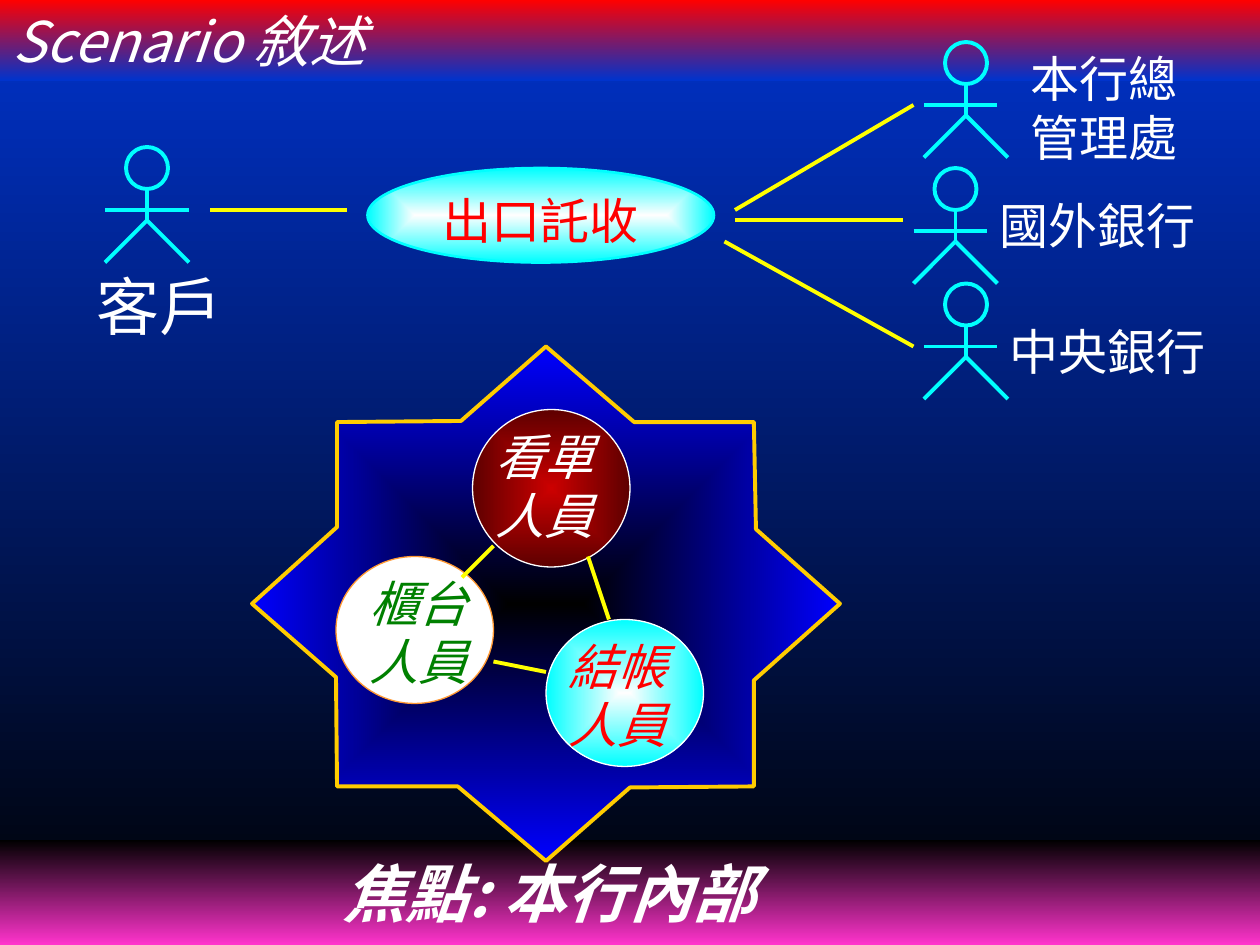
from dataclasses import dataclass

from lxml.etree import SubElement
from pptx import Presentation
from pptx.dml.color import RGBColor as RGB
from pptx.enum.shapes import MSO_CONNECTOR as CONNECTOR, MSO_SHAPE as SHAPE
from pptx.enum.text import MSO_ANCHOR as ANCHOR, PP_ALIGN as ALIGN
from pptx.oxml.ns import qn
from pptx.util import Cm, Pt


@dataclass(frozen=True)
class Theme:
    white: str = "FFFFFF"
    pale: str = "FEFEFE"
    black: str = "000000"
    red: str = "FF0000"
    cherry: str = "CC0000"
    maroon: str = "5E0000"
    green: str = "008000"
    cyan: str = "00FFFF"
    yellow: str = "FFFF00"
    gold: str = "FFCC00"
    orange: str = "FF9933"
    pink: str = "FF33CC"
    blue: str = "0000FF"
    royal: str = "0033CC"
    sans: str = "Noto Sans CJK SC"
    serif: str = "Times New Roman"
    title: int = 32
    large: int = 36
    label: int = 28
    stroke: float = 2.25
    thin: float = 0.75


THEME = Theme()

# Star outline, clockwise on screen from the upper left notch
STAR = [(32.1, 50.2), (32.1, 40.2), (43.9, 40.1), (52, 33),
        (60.4, 40.2), (71.8, 40.2), (72, 50.4), (80, 57.5),
        (71.8, 64.8), (71.8, 74.9), (60, 75), (52, 82),
        (43.6, 74.9), (32.1, 74.9), (32, 64.5), (24, 57.5)]


def grid(*units):
    """The slide is a grid of 120 columns by 90 rows."""
    return [Cm(unit * 25.4 / 120) for unit in units]


def shade(fill, first, last):
    """Top-to-bottom gradient."""
    fill.gradient()
    fill.gradient_angle = 270
    for stop, color in zip(fill.gradient_stops, (first, last)):
        stop.color.rgb = RGB.from_string(color)


def glow(shape, center, edge):
    """Gradient that spreads from the middle of the shape."""
    shade(shape.fill, center, edge)
    gradient = shape._element.spPr.find(qn("a:gradFill"))
    gradient.remove(gradient.find(qn("a:lin")))
    spread = SubElement(gradient, qn("a:path"))
    spread.set("path", "rect")
    middle = SubElement(spread, qn("a:fillToRect"))
    for side in "ltrb":
        middle.set(side, "50000")


def outline(shape, color, width):
    shape.line.color.rgb = RGB.from_string(color)
    shape.line.width = Pt(width)


def write(frame, text, size, color, font=THEME.serif, italic=False,
          bold=False, spacing=None):
    frame.word_wrap = True
    frame.text = text
    for paragraph in frame.paragraphs:
        paragraph.alignment = ALIGN.LEFT
        if spacing:
            paragraph.line_spacing = spacing
        for run in paragraph.runs:
            run.font.name = font
            run.font.size = Pt(size)
            run.font.italic, run.font.bold = italic, bold
            run.font.color.rgb = RGB.from_string(color)
            SubElement(run.font._element, qn("a:ea")).set("typeface", THEME.sans)


def add_label(slide, box, text, size=THEME.label, color=THEME.white, **style):
    label = slide.shapes.add_textbox(*grid(*box))
    write(label.text_frame, text, size, color, **style)


def add_line(slide, start, end, color=THEME.yellow):
    line = slide.shapes.add_connector(CONNECTOR.STRAIGHT, *grid(*start, *end))
    outline(line, color, THEME.stroke)
    SubElement(line._element.spPr, qn("a:effectLst"))


def add_oval(slide, box, line_color, line_width):
    oval = slide.shapes.add_shape(SHAPE.OVAL, *grid(*box))
    oval.shadow.inherit = False
    outline(oval, line_color, line_width)
    return oval


def add_actor(slide, x, y, arm_span=7):
    """Stick figure whose head has its top left corner at x, y."""
    add_oval(slide, (x, y, 4, 4), THEME.cyan, THEME.stroke).fill.background()
    neck, hip = (x + 2, y + 4), (x + 2, y + 7)
    limbs = [((x - 2, y + 6), (x - 2 + arm_span, y + 6)), (neck, hip),
             (hip, (x - 2, y + 11)), (hip, (x + 6, y + 11))]
    for start, end in limbs:
        add_line(slide, start, end, THEME.cyan)


def add_star(slide):
    points = [grid(*point) for point in STAR]
    builder = slide.shapes.build_freeform(*points[0])
    builder.add_line_segments(points[1:], close=True)
    star = builder.convert_to_shape()
    star.shadow.inherit = False
    glow(star, THEME.black, THEME.blue)
    outline(star, THEME.gold, THEME.stroke)


def add_title(slide):
    title = slide.shapes.title
    title.left, title.top, title.width, title.height = grid(0, 0, 120, 7.68)
    shade(title.fill, THEME.red, THEME.royal)
    write(title.text_frame, "Scenario 敘述", THEME.title, THEME.white,
          THEME.sans, italic=True)
    title.text_frame.vertical_anchor = ANCHOR.MIDDLE


def add_focus_band(slide):
    band = slide.shapes.add_shape(SHAPE.RECTANGLE, *grid(0, 80, 120, 10))
    band.shadow.inherit = False
    band.line.fill.background()
    shade(band.fill, THEME.black, THEME.pink)
    write(band.text_frame, "焦點: 本行內部", THEME.large, THEME.white,
          THEME.sans, italic=True, bold=True)
    band.text_frame.margin_left = Cm(6.9)
    band.text_frame.vertical_anchor = ANCHOR.MIDDLE


def main():
    deck = Presentation()
    deck.slide_width, deck.slide_height = Cm(25.4), Cm(19.05)
    slide = deck.slides.add_slide(deck.slide_layouts[5])
    shade(slide.background.fill, THEME.royal, THEME.black)
    add_title(slide)
    add_focus_band(slide)

    # Customer and outside parties
    add_actor(slide, 12, 14, arm_span=8)
    add_label(slide, (8, 26, 18, 7.3), "客戶", THEME.large, spacing=0.85)
    parties = [((90, 4), (97, 4, 19, 12.5), "本行總\n管理處"),
               ((89, 16), (94, 18, 25, 6.8), "國外銀行"),
               ((90, 27), (95, 30, 25, 6.8), "中央銀行")]
    for head, box, name in parties:
        add_actor(slide, *head)
        add_label(slide, box, name)

    # Use case and its links
    use_case = add_oval(slide, (35, 16, 33, 9), THEME.cyan, 1.5)
    glow(use_case, THEME.pale, THEME.cyan)
    add_label(slide, (41, 17, 26, 7.4), "出口託收", color=THEME.red, spacing=1.1)
    for start, end in [((20, 20), (33, 20)), ((70, 20), (87, 10)),
                       ((70, 21), (86, 21)), ((69, 23), (87, 33))]:
        add_line(slide, start, end)

    # Staff inside the bank
    add_star(slide)
    staff = [
        ((45, 39, 15, 15), (46, 40, 13, 12.5), "看單", THEME.white,
         (THEME.cherry, THEME.maroon), THEME.white),
        ((52, 59, 15, 14), (53, 60, 12, 12.5), "結帳", THEME.red,
         (THEME.pale, THEME.cyan), THEME.white),
        ((32, 53, 15, 14), (34, 54, 12, 12.5), "櫃台", THEME.green,
         (THEME.white, THEME.white), THEME.orange),
    ]
    for circle, box, duty, color, (center, edge), rim in staff:
        member = add_oval(slide, circle, rim, THEME.thin)
        if center == edge:
            member.fill.solid()
            member.fill.fore_color.rgb = RGB.from_string(center)
        else:
            glow(member, center, edge)
        add_label(slide, box, f"{duty}\n人員", color=color, italic=True)
    for start, end in [((47, 52), (44, 55)), ((47, 63), (52, 64)),
                       ((56, 53), (58, 59))]:
        add_line(slide, start, end)

    deck.save("out.pptx")


if __name__ == "__main__":
    main()
